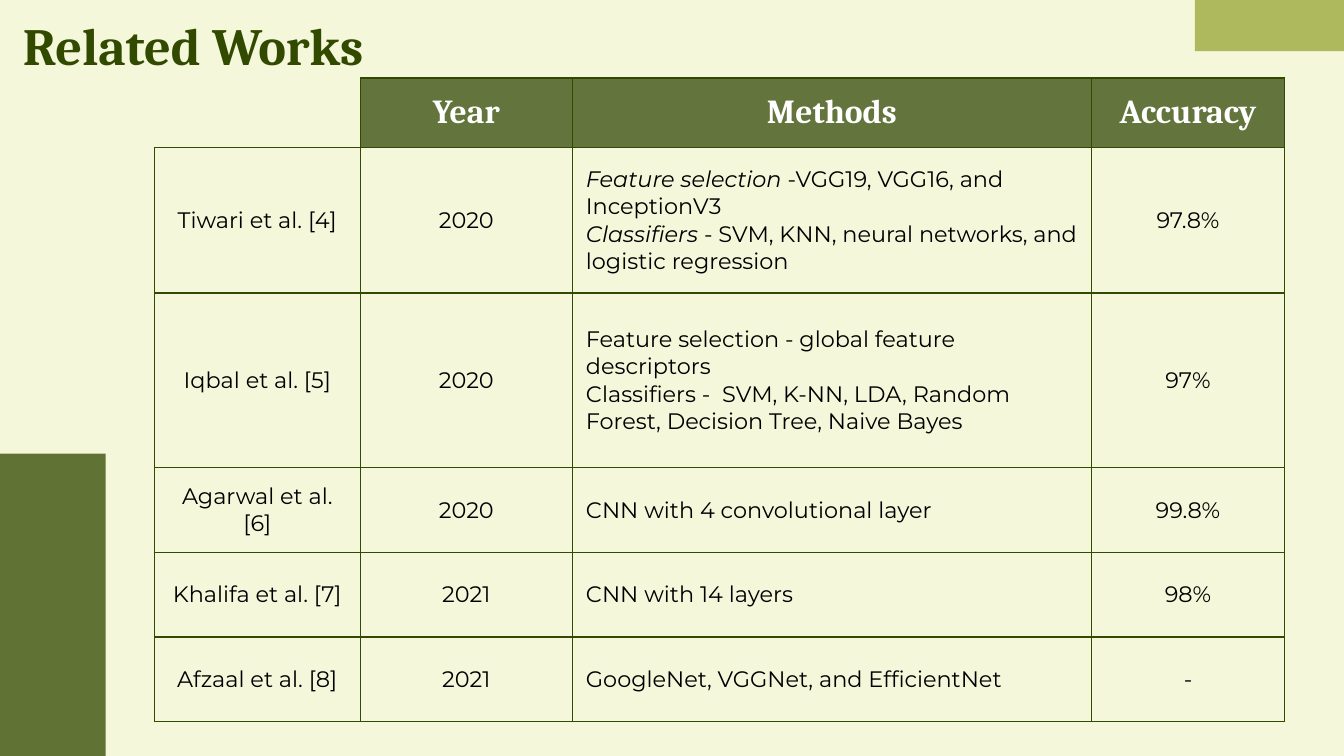
from dataclasses import dataclass

from lxml import etree
from pptx import Presentation
from pptx.dml.color import RGBColor
from pptx.enum.shapes import MSO_SHAPE
from pptx.enum.text import MSO_ANCHOR, PP_ALIGN
from pptx.oxml.ns import qn
from pptx.slide import Slide
from pptx.table import _Cell
from pptx.text.text import TextFrame, _Paragraph
from pptx.util import Inches, Pt


@dataclass(frozen=True)
class Theme:
    background: str = "F4F7DA"
    dark: str = "324A00"
    olive: str = "7C8C03"
    header: str = "63753C"
    white: str = "FFFFFF"
    black: str = "000000"
    heading_font: str = "Cambria"
    body_font: str = "Montserrat"
    title_size: int = 28
    header_size: int = 18
    body_size: int = 12
    border: float = 0.75
    inset: float = 0.1


@dataclass(frozen=True)
class Style:
    font: str
    size: int
    color: str
    bold: bool = False


@dataclass(frozen=True)
class Block:
    left: float
    top: float
    width: float
    height: float
    rotation: int
    color: str
    alpha: int


@dataclass(frozen=True)
class Work:
    """One study; each line of its methods is a (term in italics, plain text) pair."""
    authors: str
    year: str
    methods: list[tuple[str, str]]
    accuracy: str
    height: float = 0.63


T = Theme()
TITLE = Style(T.heading_font, T.title_size, T.dark, True)
HEADER = Style(T.heading_font, T.header_size, T.white, True)
BODY = Style(T.body_font, T.body_size, T.black)

BLOCKS = [
    Block(-0.76, 4.08, 2.25, 0.84, 90, T.dark, 76),
    Block(8.89, 0, 1.11, 0.38, 180, T.olive, 58),
]
HEADINGS = ["Year", "Methods", "Accuracy"]
HEADER_HEIGHT = 0.52
COL_WIDTHS = [1.53, 1.58, 3.86, 1.44]
WORKS = [
    Work("Tiwari et al. [4]", "2020",
         [("Feature selection", " -VGG19, VGG16, and InceptionV3"),
          ("Classifiers", " - SVM, KNN, neural networks, and logistic regression")],
         "97.8%", 1.08),
    Work("Iqbal et al. [5]", "2020",
         [("", "Feature selection - global feature descriptors"),
          ("", "Classifiers -  SVM, K-NN, LDA, Random Forest, Decision Tree, Naive Bayes")],
         "97%", 1.3),
    Work("Agarwal et al. [6]", "2020", [("", "CNN with 4 convolutional layer")], "99.8%"),
    Work("Khalifa et al. [7]", "2021", [("", "CNN with 14 layers")], "98%"),
    Work("Afzaal et al. [8]", "2021", [("", "GoogleNet, VGGNet, and EfficientNet")], "-"),
]


def add_run(p: _Paragraph, text: str, style: Style, italic: bool = False) -> None:
    r = p.add_run()
    r.text = text
    r.font.name = style.font
    r.font.size = Pt(style.size)
    r.font.bold = style.bold
    r.font.italic = italic
    r.font.color.rgb = RGBColor.from_string(style.color)


def set_insets(box: TextFrame | _Cell) -> None:
    box.margin_left = box.margin_right = Inches(T.inset)
    box.margin_top = box.margin_bottom = Inches(T.inset)


def add_block(s: Slide, block: Block) -> None:
    sp = s.shapes.add_shape(MSO_SHAPE.RECTANGLE, Inches(block.left), Inches(block.top),
                            Inches(block.width), Inches(block.height))
    sp.rotation = block.rotation
    sp.shadow.inherit = False
    sp.line.fill.background()
    sp.fill.solid()
    sp.fill.fore_color.rgb = RGBColor.from_string(block.color)
    color = sp.fill._xPr.find(".//" + qn("a:srgbClr"))
    etree.SubElement(color, qn("a:alpha"), val=str(block.alpha * 1000))


def set_title(s: Slide, text: str) -> None:
    sp = s.shapes.title
    sp.left, sp.top, sp.width, sp.height = (Inches(v) for v in (0.07, 0, 8.42, 0.63))
    tf = sp.text_frame
    tf.word_wrap = True
    tf.vertical_anchor = MSO_ANCHOR.TOP
    set_insets(tf)
    p = tf.paragraphs[0]
    p.alignment = PP_ALIGN.LEFT
    add_run(p, text, TITLE)


def set_borders(cell: _Cell, sides: str = "LRTB") -> None:
    """Draw the named sides and hide the others."""
    tc_pr = cell._tc.get_or_add_tcPr()
    for i, side in enumerate("LRTB"):
        ln = etree.Element(qn(f"a:ln{side}"), w=str(Pt(T.border)))
        if side in sides:
            fill = etree.SubElement(ln, qn("a:solidFill"))
            etree.SubElement(fill, qn("a:srgbClr"), val=T.dark)
        else:
            etree.SubElement(ln, qn("a:noFill"))
        tc_pr.insert(i, ln)


def fill_cell(cell: _Cell, lines: list[tuple[str, str]], style: Style,
              align: PP_ALIGN = PP_ALIGN.CENTER, fill: str | None = None) -> None:
    set_insets(cell)
    cell.vertical_anchor = MSO_ANCHOR.MIDDLE
    if fill:
        cell.fill.solid()
        cell.fill.fore_color.rgb = RGBColor.from_string(fill)
    else:
        cell.fill.background()
    set_borders(cell)
    tf = cell.text_frame
    for i, (term, text) in enumerate(lines):
        p = tf.add_paragraph() if i else tf.paragraphs[0]
        p.alignment = align
        if term:
            add_run(p, term, style, italic=True)
        add_run(p, text, style)


def add_works_table(s: Slide, left: float, top: float) -> None:
    heights = [HEADER_HEIGHT] + [work.height for work in WORKS]
    table = s.shapes.add_table(len(heights), len(COL_WIDTHS), Inches(left), Inches(top),
                               Inches(sum(COL_WIDTHS)), Inches(sum(heights))).table
    table.first_row = table.horz_banding = False
    for col, width in zip(table.columns, COL_WIDTHS):
        col.width = Inches(width)
    for row, height in zip(table.rows, heights):
        row.height = Inches(height)

    corner = table.cell(0, 0)
    corner.fill.background()
    set_borders(corner, "RB")
    for c, heading in enumerate(HEADINGS, 1):
        fill_cell(table.cell(0, c), [("", heading)], HEADER, fill=T.header)
    for r, work in enumerate(WORKS, 1):
        for c, text in ((0, work.authors), (1, work.year), (3, work.accuracy)):
            fill_cell(table.cell(r, c), [("", text)], BODY)
        fill_cell(table.cell(r, 2), work.methods, BODY, PP_ALIGN.LEFT)


def main() -> None:
    prs = Presentation()
    prs.slide_width = Inches(10)
    prs.slide_height = prs.slide_width * 9 // 16
    s = prs.slides.add_slide(prs.slide_layouts[5])
    s.background.fill.solid()
    s.background.fill.fore_color.rgb = RGBColor.from_string(T.background)
    for block in BLOCKS:
        add_block(s, block)
    set_title(s, "Related Works")
    add_works_table(s, 1.15, 0.58)
    prs.save("out.pptx")


if __name__ == "__main__":
    main()
